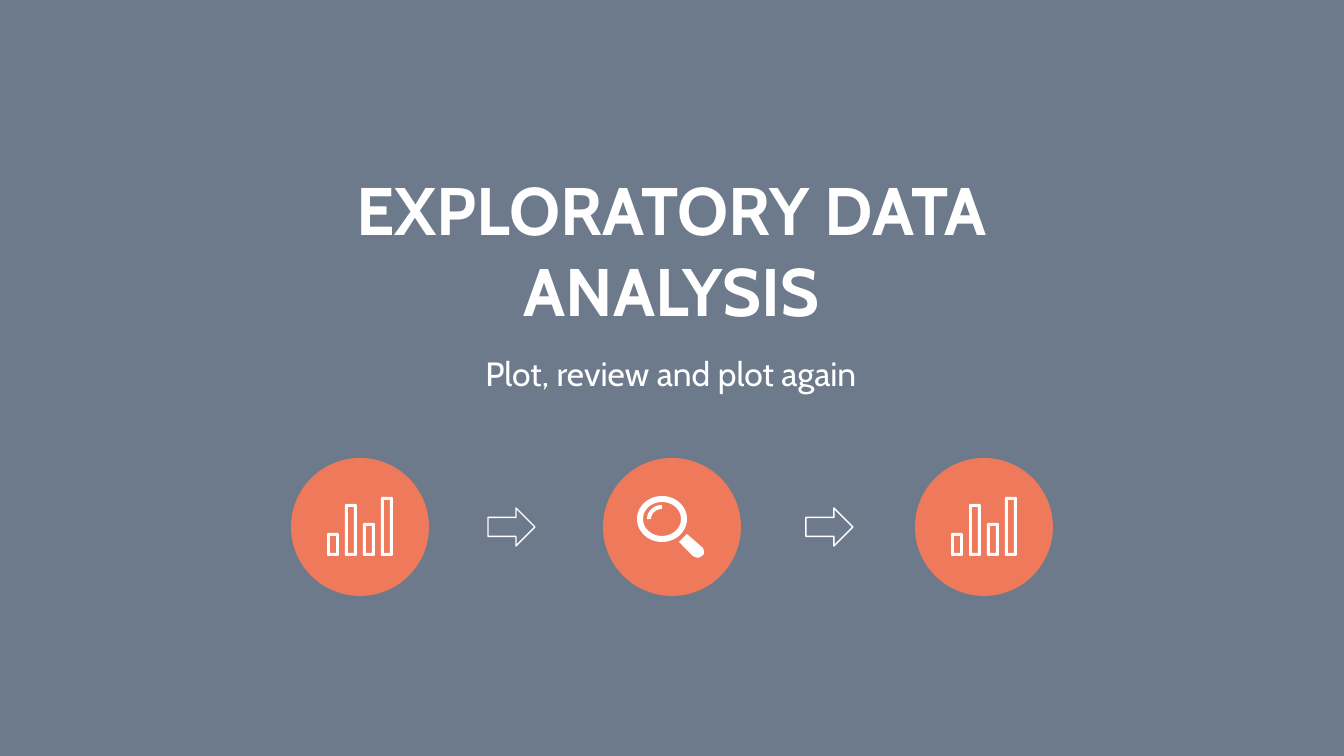
from dataclasses import dataclass
from math import cos, radians, sin

from lxml import etree
from pptx import Presentation
from pptx import util as u
from pptx.dml.color import RGBColor
from pptx.enum import shapes, text
from pptx.oxml.ns import qn

PX = 914400 / 134.4
COLORS = {"slate": "566579", "coral": "EE795B", "white": "FFFFFF"}
Point = tuple[float, float]


@dataclass
class Box:
    left: int
    top: int
    width: int
    height: int

    def emu(self) -> list[int]:
        return [px(n) for n in (self.left, self.top, self.width, self.height)]


@dataclass
class Caption:
    box: Box
    wording: str
    size: int
    bold: bool


@dataclass
class Bar:
    left: int
    top: int


CAPTIONS = [
    Caption(Box(376, 339, 590, 79), "Plot, review and plot again", 18, False),
    Caption(Box(258, 155, 827, 184), "EXPLORATORY DATA ANALYSIS", 36, True),
]
STEP_PITCH, STEP_SIZE = 312, 138
STEP_LEFTS = [291 + STEP_PITCH * i for i in range(3)]
ARROW_LEFTS = [488, 806]
BAR_WIDTH, BAR_EDGE, BAR_BASE = 12, 3, 556
BARS = [Bar(36 + 18 * i, top) for i, top in enumerate((533, 504, 523, 497))]
HANDLE = [(687, 534), (703, 548), (704, 551), (704, 554), (702, 556), (698, 558),
          (695, 557), (693, 556), (679, 542), (683, 538)]


def px(length: float) -> int:
    return round(length * PX)


def color(name: str) -> RGBColor:
    return RGBColor.from_string(COLORS[name])


def paint(shape, fill: str | None, line: str | None = None) -> None:
    shape.shadow.inherit = False
    if fill:
        shape.fill.solid()
        shape.fill.fore_color.rgb = color(fill)
    else:
        shape.fill.background()
    if line:
        shape.line.color.rgb = color(line)
        shape.line.width = u.Pt(0.75)
    else:
        shape.line.fill.background()


def add_preset(canvas, kind, box: Box, fill: str | None, line: str | None = None):
    shape = canvas.add_shape(kind, *box.emu())
    paint(shape, fill, line)
    return shape


def add_caption(canvas, caption: Caption) -> None:
    frame = canvas.add_textbox(*caption.box.emu()).text_frame
    inset = u.Inches(0.1)
    frame_format = {"word_wrap": True, "vertical_anchor": text.MSO_ANCHOR.TOP,
                    "margin_left": inset, "margin_right": inset,
                    "margin_top": inset, "margin_bottom": inset}
    for name, value in frame_format.items():
        setattr(frame, name, value)
    paragraph = frame.paragraphs[0]
    paragraph.alignment = text.PP_ALIGN.CENTER
    run = paragraph.add_run()
    run.text = caption.wording
    font_format = {"name": "Cabin", "size": u.Pt(caption.size), "bold": caption.bold}
    for name, value in font_format.items():
        setattr(run.font, name, value)
    run.font.color.rgb = color("white")


def add_outline(canvas, contours: list[list[Point]]) -> None:
    """Draw closed contours as one white freeform; reversed contours are holes."""
    builder = None
    for contour in contours:
        (x, y), *rest = [(px(x), px(y)) for x, y in contour]
        if builder is None:
            builder = canvas.build_freeform(x, y)
        else:
            builder.move_to(x, y)
        builder.add_line_segments(rest, close=True)
    paint(builder.convert_to_shape(), "white")


def arc(center: Point, radii: Point, start: int, end: int, step: int = 6) -> list[Point]:
    return [(center[0] + radii[0] * cos(radians(a)), center[1] + radii[1] * sin(radians(a)))
            for a in range(start, end, step)]


def bar_contours(bar: Bar, origin: int) -> list[list[Point]]:
    """Give a frame with clipped corners and the hole inside it."""
    left, top, bottom = origin + bar.left, bar.top, BAR_BASE
    right = left + BAR_WIDTH
    rim = [(left + 1, top), (right - 1, top), (right, top + 1), (right, bottom - 1),
           (right - 1, bottom), (left + 1, bottom), (left, bottom - 1), (left, top + 1)]
    x1, x2 = left + BAR_EDGE, right - BAR_EDGE
    y1, y2 = top + BAR_EDGE, bottom - BAR_EDGE
    return [rim, [(x1, y1), (x1, y2), (x2, y2), (x2, y1)]]


def add_bar_icon(canvas, origin: int) -> None:
    add_outline(canvas, [c for bar in BARS for c in bar_contours(bar, origin)])


def add_magnifier(canvas) -> None:
    icon = canvas.add_group_shape().shapes
    lens, glint = (662, 519), (662, 519)
    add_outline(icon, [HANDLE])
    add_outline(icon, [arc(lens, (25, 23), 0, 360), arc(lens, (19, 17), 0, 360)[::-1]])
    add_outline(icon, [arc(glint, (15, 14), 180, 271) + arc(glint, (11, 10), 180, 271)[::-1]])


def main() -> None:
    deck = Presentation()
    deck.slide_width, deck.slide_height = px(1344), px(756)
    canvas = deck.slides.add_slide(deck.slide_layouts[6]).shapes

    backdrop = add_preset(canvas, shapes.MSO_SHAPE.RECTANGLE, Box(0, 0, 1344, 756), "slate")
    tint = backdrop.fill._xPr.find(qn("a:solidFill"))[0]
    etree.SubElement(tint, qn("a:alpha")).set("val", "86000")

    for caption in CAPTIONS:
        add_caption(canvas, caption)
    for left in STEP_LEFTS:
        add_preset(canvas, shapes.MSO_SHAPE.OVAL, Box(left, 458, STEP_SIZE, STEP_SIZE), "coral")
    for left in ARROW_LEFTS:
        add_preset(canvas, shapes.MSO_SHAPE.RIGHT_ARROW, Box(left, 508, 47, 38), None, "white")
    for left in (STEP_LEFTS[0], STEP_LEFTS[-1]):
        add_bar_icon(canvas, left)
    add_magnifier(canvas)

    deck.save("out.pptx")


if __name__ == "__main__":
    main()
